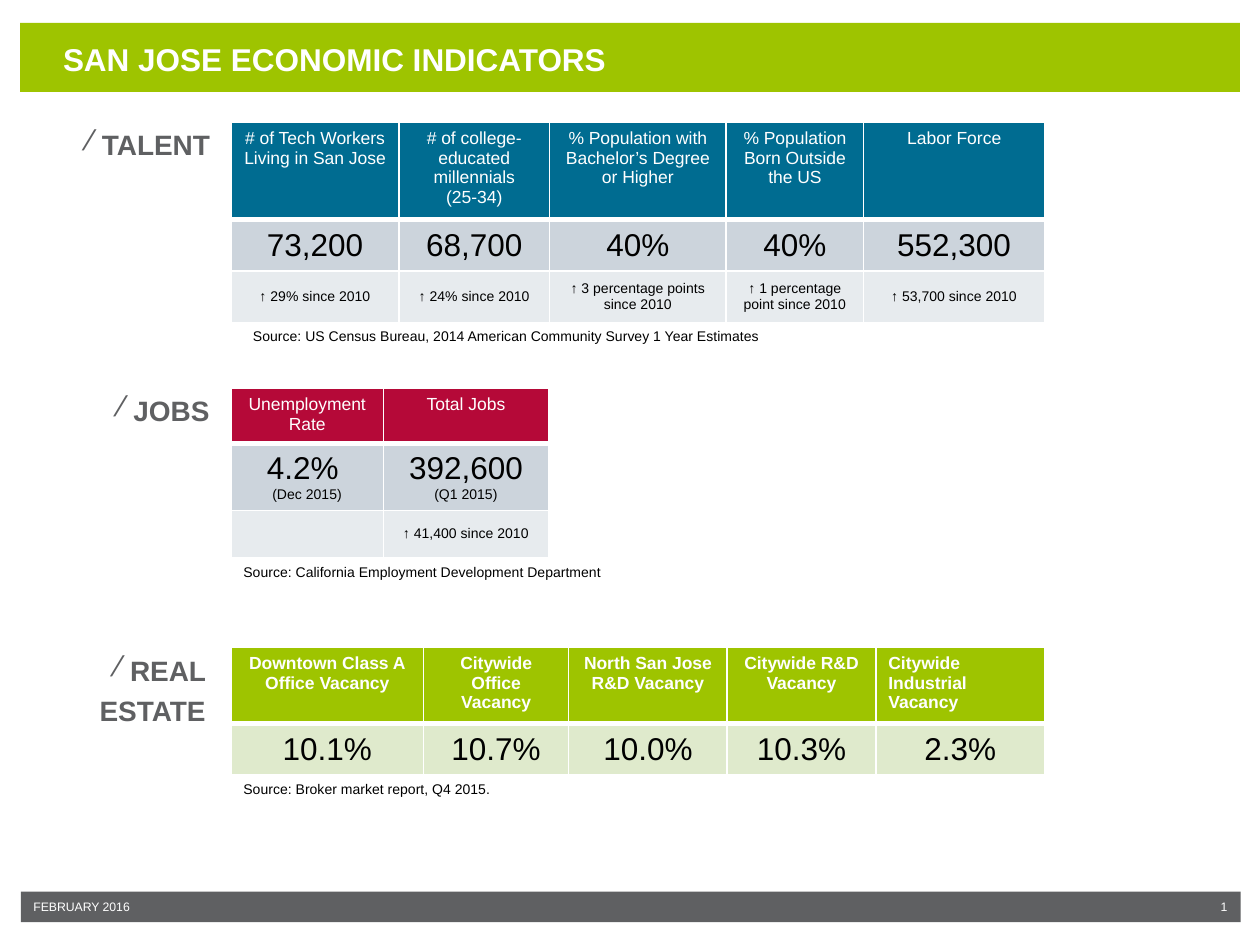
from lxml.etree import SubElement
from pptx import Presentation
from pptx.dml.color import RGBColor
from pptx.enum.shapes import MSO_SHAPE
from pptx.enum.text import MSO_ANCHOR, PP_ALIGN
from pptx.oxml.ns import qn
from pptx.util import Pt

WHITE = RGBColor(0xFF, 0xFF, 0xFF)
BLACK = RGBColor(0x00, 0x00, 0x00)
GRAY = RGBColor(0x5F, 0x60, 0x62)
LIME = RGBColor(0x9E, 0xC4, 0x00)
PALE_LIME = RGBColor(0xDF, 0xEA, 0xCC)
BLUE = RGBColor(0x00, 0x6C, 0x91)
CRIMSON = RGBColor(0xB5, 0x09, 0x38)
SLATE = RGBColor(0xCC, 0xD4, 0xDC)
PALE_SLATE = RGBColor(0xE7, 0xEB, 0xEE)


class IndicatorSlide:
    font_name = "Arial"
    table_left = 132

    def __init__(self, slide):
        self.slide = slide

    def style(self, paragraph, size, color, bold=False, align=PP_ALIGN.LEFT):
        paragraph.alignment = align
        font = paragraph.font
        font.name, font.size, font.bold = self.font_name, Pt(size), bold
        font.color.rgb = color

    def bar(self, left, top, width, height, color):
        band = self.slide.shapes.add_shape(
            MSO_SHAPE.RECTANGLE, Pt(left), Pt(top), Pt(width), Pt(height))
        band.shadow.inherit = False
        band.fill.solid()
        band.fill.fore_color.rgb = color
        band.line.fill.background()

    def text(self, words, left, top, width, height, size, color, bold=False,
             align=PP_ALIGN.LEFT, anchor=MSO_ANCHOR.TOP, margins=(7.2, 3.6, 7.2, 3.6)):
        frame = self.slide.shapes.add_textbox(
            Pt(left), Pt(top), Pt(width), Pt(height)).text_frame
        frame.word_wrap = True
        frame.vertical_anchor = anchor
        (frame.margin_left, frame.margin_top,
         frame.margin_right, frame.margin_bottom) = map(Pt, margins)
        paragraph = frame.paragraphs[0]
        paragraph.text = words
        self.style(paragraph, size, color, bold, align)
        return paragraph

    def heading(self, words, left, top, width, height, align=PP_ALIGN.LEFT):
        paragraph = self.text(words, left, top, width, height, 16, GRAY, True,
                              align, margins=(0, 0, 0, 0))
        paragraph.line_spacing = 1.2
        paragraph.space_before = Pt(24)
        properties = paragraph.font._element.getparent()
        properties.set("marL", str(Pt(8.6)))
        properties.set("indent", str(-Pt(8.6)))
        bullet = SubElement(properties, qn("a:buChar"), char="\u2044")
        properties.find(qn("a:defRPr")).addprevious(bullet)

    def source(self, words, top, left=table_left):
        self.text(words, left, top, 459.5, 17, 8, BLACK)

    def borders(self, cell, top, bottom):
        properties = cell._tc.get_or_add_tcPr()
        widths = {"a:lnL": 1, "a:lnR": 1, "a:lnT": top, "a:lnB": bottom}
        for position, (side, width) in enumerate(widths.items()):
            line = SubElement(properties, qn(side), w=str(Pt(width)))
            fill = SubElement(line, qn("a:solidFill"))
            SubElement(fill, qn("a:srgbClr"), val=str(WHITE))
            properties.insert(position, line)

    def table(self, top, widths, heights, rows, fills, bold_header=False):
        grid = self.slide.shapes.add_table(
            len(rows), len(widths), Pt(self.table_left), Pt(top),
            Pt(sum(widths)), Pt(sum(heights))).table
        grid.first_row = grid.horz_banding = False
        for column, width in zip(grid.columns, widths):
            column.width = Pt(width)
        for row, height in zip(grid.rows, heights):
            row.height = Pt(height)
        for r, (row, fill) in enumerate(zip(rows, fills)):
            for c, words in enumerate(row):
                cell = grid.cell(r, c)
                cell.fill.solid()
                cell.fill.fore_color.rgb = fill
                cell.vertical_anchor = MSO_ANCHOR.MIDDLE if r else MSO_ANCHOR.TOP
                cell.text = words
                for p, paragraph in enumerate(cell.text_frame.paragraphs):
                    size = 8 if r == 1 and p else (10, 18, 8)[r]
                    self.style(paragraph, size, BLACK if r else WHITE,
                               bold_header and r == 0, PP_ALIGN.CENTER)
                self.borders(cell, 3 if r == 1 else 1, 1 if r else 3)
        return grid


deck = Presentation()
deck.slide_width, deck.slide_height = Pt(720), Pt(540)
page = IndicatorSlide(deck.slides.add_slide(deck.slide_layouts[6]))

page.bar(12, 509.5, 697, 17.5, GRAY)
page.bar(11.5, 13, 697, 39.5, LIME)
page.text("SAN JOSE ECONOMIC INDICATORS", 36, 13.7, 507.5, 31, 18, WHITE, True,
          anchor=MSO_ANCHOR.BOTTOM, margins=(0, 0, 0, 0))
page.text("FEBRUARY 2016", 12, 509.5, 228, 17.5, 7, WHITE, anchor=MSO_ANCHOR.MIDDLE)
page.text("1", 678.5, 509.5, 30, 17.5, 7, WHITE, align=PP_ALIGN.RIGHT,
          anchor=MSO_ANCHOR.MIDDLE, margins=(0, 0, 7.2, 0))

page.heading("TALENT", 49.7, 69, 82, 21.6)
page.table(
    70, (96, 86, 101, 78.5, 103.5), (51, 29.5, 29.5),
    [("# of Tech Workers Living in San Jose",
      "# of college-educated millennials\n(25-34)",
      "% Population with Bachelor\u2019s Degree or Higher",
      "% Population Born Outside the US", "Labor Force"),
     ("73,200", "68,700", "40%", "40%", "552,300"),
     ("\u2191 29% since 2010", "\u2191 24% since 2010",
      "\u2191 3 percentage points since 2010",
      "\u2191 1 percentage point since 2010", "\u2191 53,700 since 2010")],
    (BLUE, SLATE, PALE_SLATE))
page.source("Source: US Census Bureau, 2014 American Community Survey 1 Year Estimates",
            183.5, left=137.5)

page.heading("JOBS", 67.7, 221, 58.5, 21)
page.table(
    222, (87, 94.5), (29.5, 36, 27),
    [("Unemployment\nRate", "Total Jobs"),
     ("4.2% \n(Dec 2015)", "392,600\n(Q1 2015)"),
     ("", "\u2191 41,400 since 2010")],
    (CRIMSON, SLATE, PALE_SLATE))
page.source("Source: California Employment Development Department", 318.5)

page.heading("REAL ESTATE", 42.5, 369.5, 75, 60.5, PP_ALIGN.RIGHT)
vacancy = page.table(
    370, (110, 83, 90.5, 85, 96.5), (40.5, 29.5),
    [("Downtown Class A\nOffice Vacancy", "Citywide Office Vacancy",
      "North San Jose R&D Vacancy", "Citywide R&D Vacancy",
      "Citywide Industrial Vacancy"),
     ("10.1%", "10.7%", "10.0%", "10.3%", "2.3%")],
    (LIME, PALE_LIME), bold_header=True)
vacancy.cell(0, 4).text_frame.paragraphs[0].alignment = PP_ALIGN.LEFT
page.source("Source: Broker market report, Q4 2015.", 442.5)

deck.save("out.pptx")
